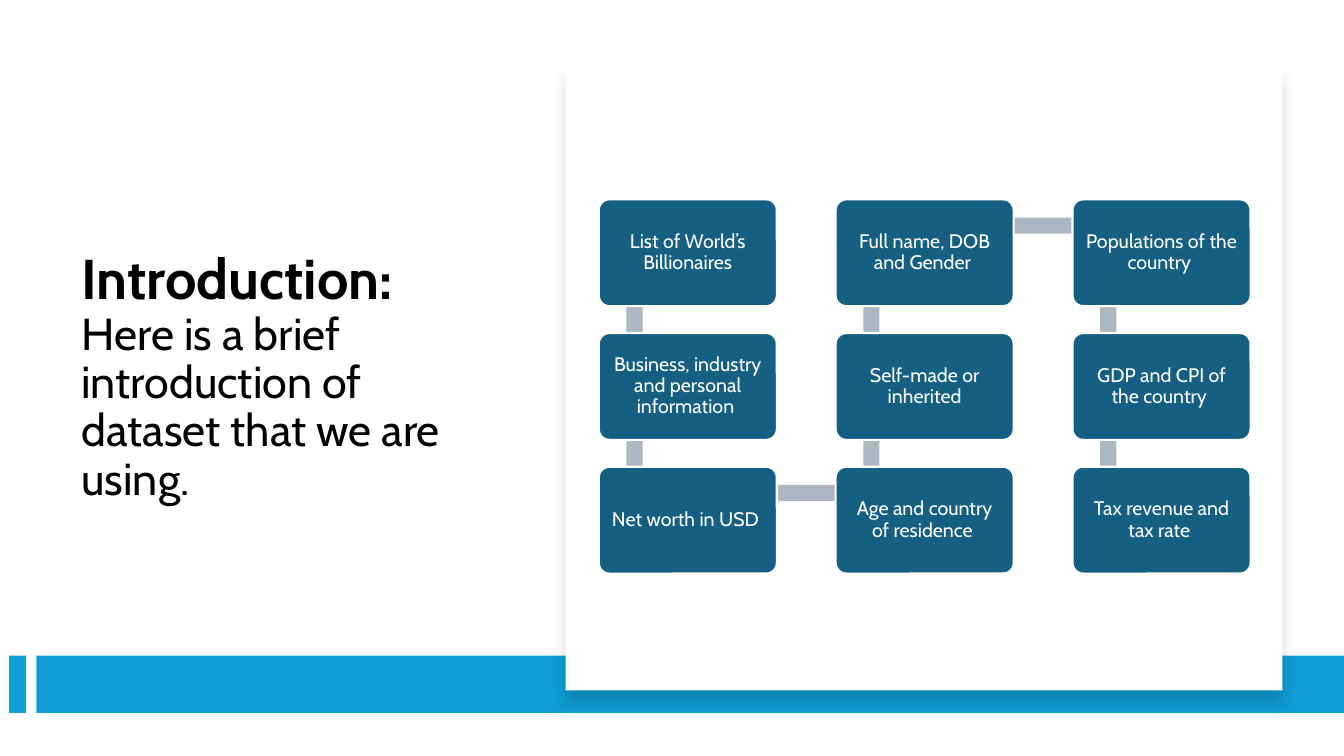
from lxml import etree
from pptx import Presentation
from pptx import util as u
from pptx.dml.color import RGBColor
from pptx.enum import shapes, text
from pptx.oxml import ns

BLACK = RGBColor(0x00, 0x00, 0x00)
WHITE = RGBColor(0xFF, 0xFF, 0xFF)
SKY = RGBColor(0x0F, 0x9E, 0xD5)
TEAL = RGBColor(0x15, 0x60, 0x82)
GREY = RGBColor(0xAC, 0xB7, 0xC1)

TOPICS = [
    ["List of World’s Billionaires", "Business, industry and personal information ",
     "Net worth in USD "],
    ["Full name, DOB and Gender ", "Self-made or inherited",
     "Age and country of residence "],
    ["Populations of the country ", "GDP and CPI of the country ",
     "Tax revenue and tax rate "],
]
GRID_X, GRID_Y = 427.7, 142.4
STEP_X, STEP_Y = 169.2, 95.5
BOX_W, BOX_H = 127.2, 76.3
BAR = 11.5


def add_run(p, content, size=14, color=WHITE, bold=False, font="Cabin"):
    """Add formatted text to a paragraph."""
    r = p.add_run()
    r.text = content
    r.font.name, r.font.size, r.font.bold = font, u.Pt(size), bold
    r.font.color.rgb = color


class Deck:
    """Holds the presentation style and the current slide."""

    def __init__(self):
        self.prs = Presentation()
        self.prs.slide_width, self.prs.slide_height = u.Pt(960), u.Pt(540)
        self.s = self.prs.slides.add_slide(self.prs.slide_layouts[6])

    def shape(self, kind, x, y, w, h, fill):
        """Add a flat filled shape without outline."""
        sp = self.s.shapes.add_shape(kind, u.Pt(x), u.Pt(y), u.Pt(w), u.Pt(h))
        sp.shadow.inherit = False
        sp.fill.solid()
        sp.fill.fore_color.rgb = fill
        sp.line.fill.background()
        return sp

    def rect(self, x, y, w, h, fill):
        """Add a plain rectangle."""
        return self.shape(shapes.MSO_SHAPE.RECTANGLE, x, y, w, h, fill)

    def card(self, x, y, w, h):
        """Add a white panel with a soft shadow below."""
        sp = self.rect(x, y, w, h, WHITE)
        effects = sp._element.spPr.find(ns.qn("a:effectLst"))
        shadow = etree.SubElement(effects, ns.qn("a:outerShdw"),
                                  blurRad=str(u.Pt(11)), dist=str(u.Pt(10)),
                                  dir="5400000", algn="t", rotWithShape="0")
        color = etree.SubElement(shadow, ns.qn("a:srgbClr"), val=str(BLACK))
        etree.SubElement(color, ns.qn("a:alpha"), val="15000")

    def topic(self, x, y, content):
        """Add a rounded box with a centred label."""
        sp = self.shape(shapes.MSO_SHAPE.ROUNDED_RECTANGLE, x, y, BOX_W, BOX_H, TEAL)
        sp.adjustments[0] = 0.1
        sp.line.color.rgb = WHITE
        sp.line.width = u.Pt(1.5)
        p = self.frame(sp, 6.4)
        p.alignment = text.PP_ALIGN.CENTER
        add_run(p, content)

    def title(self, x, y, w, h, heading, body):
        """Add the bold heading with its body text below."""
        sp = self.s.shapes.add_textbox(u.Pt(x), u.Pt(y), u.Pt(w), u.Pt(h))
        p = self.frame(sp, 7.2)
        add_run(p, heading, size=40, color=BLACK, bold=True)
        p.add_line_break()
        add_run(p, body, size=32, color=BLACK)

    def frame(self, sp, inset):
        """Set up a wrapped, middle-anchored frame and return its paragraph."""
        tf = sp.text_frame
        tf.word_wrap = True
        tf.vertical_anchor = text.MSO_ANCHOR.MIDDLE
        tf.margin_left = tf.margin_right = u.Pt(inset)
        tf.margin_top = tf.margin_bottom = u.Pt(inset)
        p = tf.paragraphs[0]
        p.line_spacing = 0.9
        return p


def main():
    """Build the introduction slide."""
    d = Deck()
    d.title(51.1, 86.4, 298.8, 453.6 - 86.4, "Introduction:",
            "Here is a brief introduction of dataset that we are using.")
    d.rect(6.5, 468.3, 12.2, 41, SKY)
    d.rect(25.9, 468.3, 934.1, 41, SKY)
    d.card(404, 46.1, 512, 447.1)

    for col in range(3):
        for row in range(2):
            d.rect(GRID_X + col * STEP_X + 19.8, GRID_Y + row * STEP_Y + 19.2,
                   BAR, 94.3, GREY)
    for col, row in ((0, 2), (1, 0)):
        d.rect(GRID_X + col * STEP_X + 26.6, GRID_Y + row * STEP_Y + 13,
               168.5, BAR, GREY)
    for col, labels in enumerate(TOPICS):
        for row, label in enumerate(labels):
            d.topic(GRID_X + col * STEP_X, GRID_Y + row * STEP_Y, label)
    d.prs.save("out.pptx")


if __name__ == "__main__":
    main()
